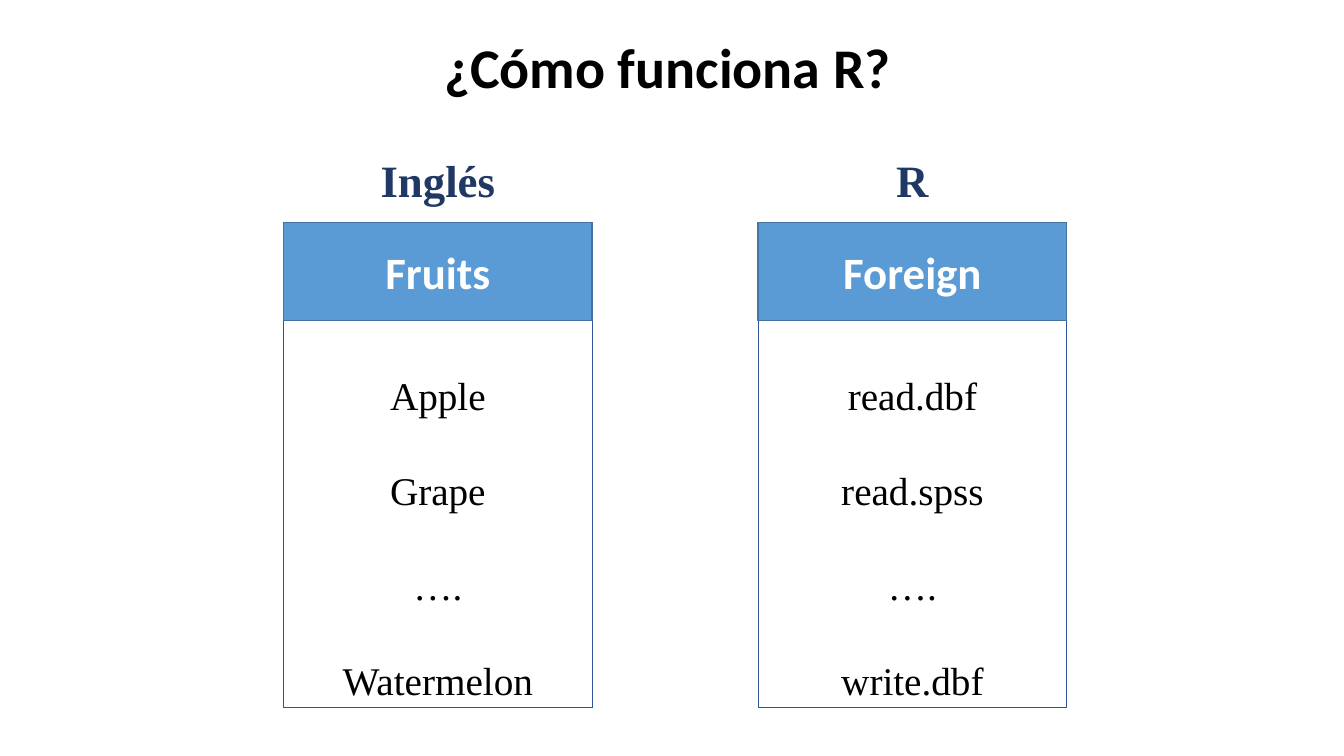
from dataclasses import dataclass
from typing import Any

from lxml.etree import SubElement
from pptx import Presentation
from pptx.dml.color import RGBColor
from pptx.enum.shapes import MSO_SHAPE
from pptx.enum.text import MSO_ANCHOR, MSO_AUTO_SIZE, PP_ALIGN
from pptx.oxml.ns import qn
from pptx.util import Pt

BLACK = RGBColor(0x00, 0x00, 0x00)
WHITE = RGBColor(0xFF, 0xFF, 0xFF)
NAVY = RGBColor(0x20, 0x38, 0x64)
BLUE = RGBColor(0x5B, 0x9B, 0xD5)
BANNER_BORDER = RGBColor(0x43, 0x73, 0x9E)
LIST_BORDER = RGBColor(0x2F, 0x55, 0x97)

TITLE_FONT = {"name": "Calibri", "size": Pt(40), "bold": True}
HEADING_FONT = {"name": "Times New Roman", "size": Pt(32), "bold": True}
BANNER_FONT = {"name": "Calibri", "size": Pt(32), "bold": True}
ITEM_FONT = {"name": "Times New Roman", "size": Pt(28), "bold": False}

COMPARISON_LAYOUT = 4
COLUMN_WIDTH = 220.5
HEADING_TOP, HEADING_HEIGHT = 105.8, 46
LIST_TOP, LIST_HEIGHT = 159.1, 346.3
BANNER_HEIGHT = 69.8
LIST_INSET = 106
ITEM_GAP = 34.2


@dataclass
class Column:
    """A language, its package banner and the words it holds."""

    left: float
    heading: str
    banner: str
    items: list[str]
    heading_index: int
    list_index: int


COLUMNS = [
    Column(202.5, "Inglés", "Fruits",
           ["Apple", "Grape", "….", "Watermelon"], 1, 2),
    Column(541.5, "R", "Foreign",
           ["read.dbf", "read.spss", "….", "write.dbf"], 3, 4),
]


def place(shape: Any, left: float, top: float, width: float, height: float) -> None:
    """Move and size a shape, in points."""
    bounds = {"left": left, "top": top, "width": width, "height": height}
    for name, value in bounds.items():
        setattr(shape, name, Pt(value))


def write(shape: Any, lines: list[str], font: dict[str, Any], color: RGBColor,
          anchor: MSO_ANCHOR = MSO_ANCHOR.TOP, gap: float = 0,
          inset: float = 3.6) -> None:
    """Fill a shape with centred, unbulleted paragraphs."""
    frame = shape.text_frame
    frame.text = "\n".join(lines)
    settings = {"word_wrap": True, "auto_size": MSO_AUTO_SIZE.NONE,
                "vertical_anchor": anchor, "margin_top": Pt(inset),
                "margin_bottom": Pt(3.6)}
    for name, value in settings.items():
        setattr(frame, name, value)
    for number, paragraph in enumerate(frame.paragraphs):
        paragraph.alignment = PP_ALIGN.CENTER
        paragraph.space_before = Pt(gap if number else 0)
        properties = paragraph._p.get_or_add_pPr()
        properties.set("marL", "0")
        properties.set("indent", "0")
        SubElement(properties, qn("a:buNone"))
        for run in paragraph.runs:
            for name, value in font.items():
                setattr(run.font, name, value)
            run.font.color.rgb = color


def outline(shape: Any, color: RGBColor, width: float) -> None:
    """Draw a solid border around a shape."""
    shape.line.color.rgb = color
    shape.line.width = Pt(width)


def draw_column(slide: Any, column: Column) -> None:
    """Draw the heading, the bordered list and the banner on top of it."""
    placeholders = {item.placeholder_format.idx: item for item in slide.placeholders}
    heading = placeholders[column.heading_index]
    place(heading, column.left, HEADING_TOP, COLUMN_WIDTH, HEADING_HEIGHT)
    write(heading, [column.heading], HEADING_FONT, NAVY)

    word_list = placeholders[column.list_index]
    place(word_list, column.left, LIST_TOP, COLUMN_WIDTH, LIST_HEIGHT)
    outline(word_list, LIST_BORDER, 0.75)
    write(word_list, column.items, ITEM_FONT, BLACK, gap=ITEM_GAP, inset=LIST_INSET)

    banner = slide.shapes.add_shape(
        MSO_SHAPE.RECTANGLE, Pt(column.left), Pt(LIST_TOP),
        Pt(COLUMN_WIDTH), Pt(BANNER_HEIGHT))
    banner.shadow.inherit = False
    banner.fill.solid()
    banner.fill.fore_color.rgb = BLUE
    outline(banner, BANNER_BORDER, 1)
    write(banner, [column.banner], BANNER_FONT, WHITE, MSO_ANCHOR.MIDDLE)


presentation = Presentation()
presentation.slide_width = Pt(960)
presentation.slide_height = Pt(540)
slide = presentation.slides.add_slide(presentation.slide_layouts[COMPARISON_LAYOUT])

title = slide.shapes.title
place(title, 301, 19.5, 351.5, 55.5)
write(title, ["¿Cómo funciona R?"], TITLE_FONT, BLACK)

for column in COLUMNS:
    draw_column(slide, column)

presentation.save("out.pptx")
